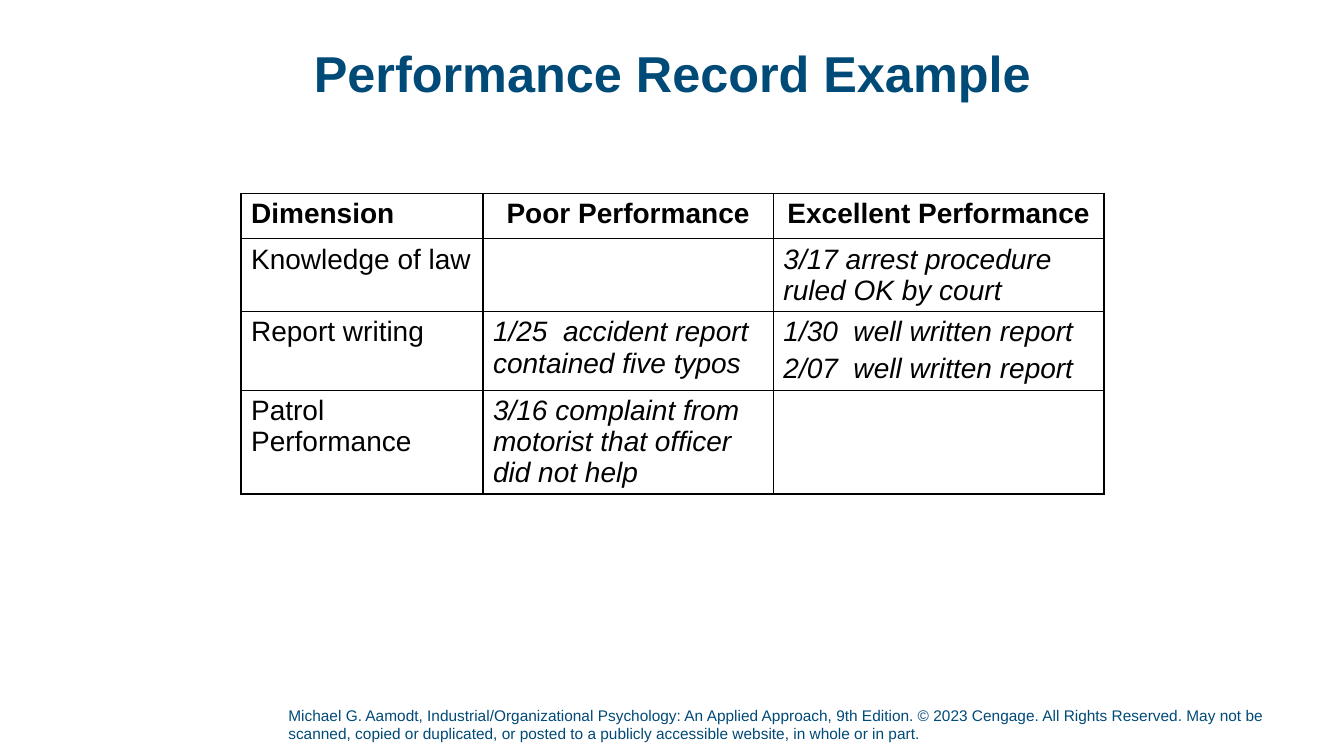
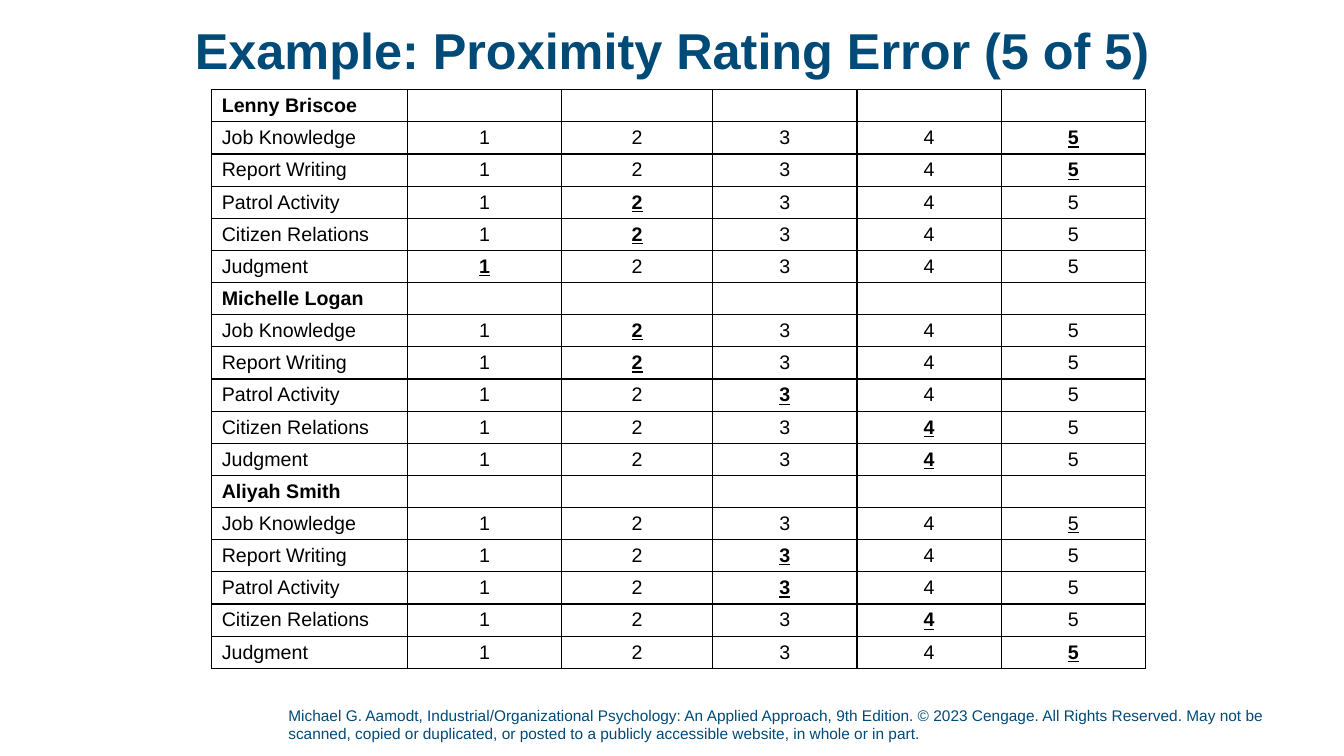
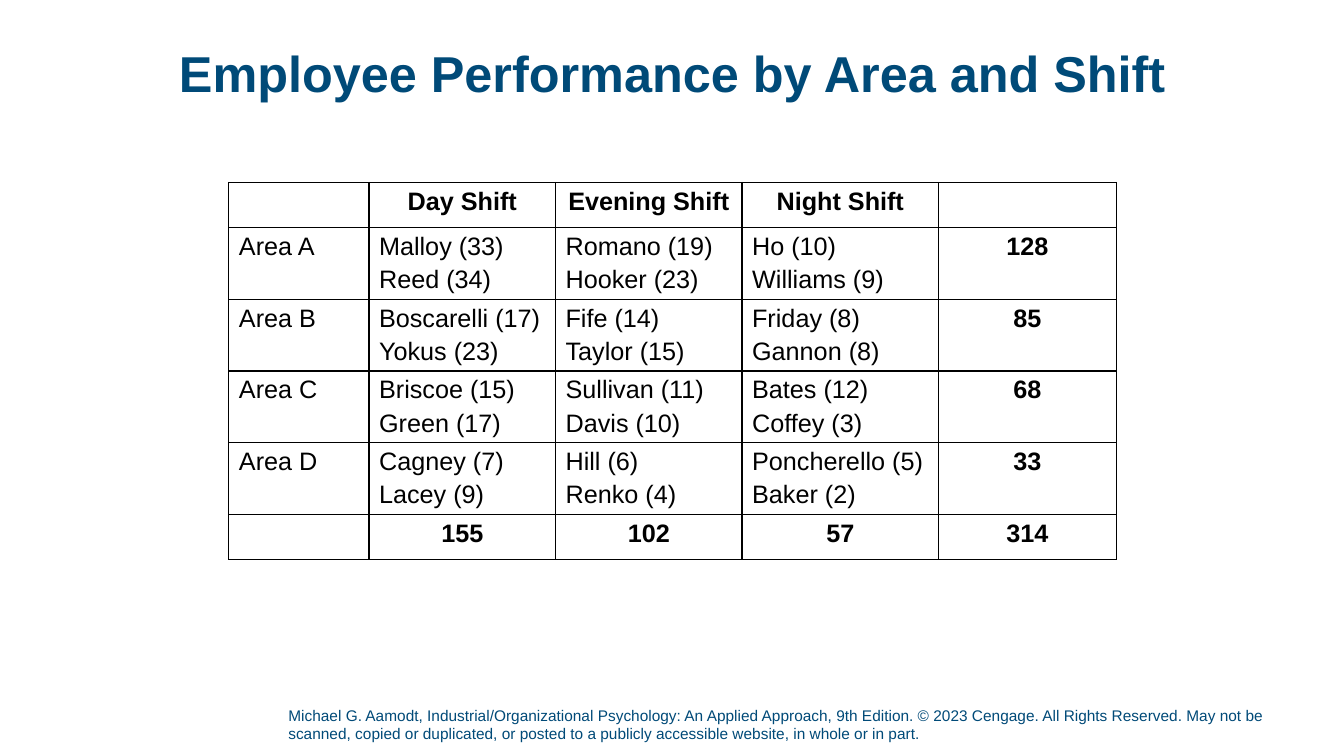
from lxml.etree import SubElement
from pptx import Presentation
from pptx.dml.color import RGBColor
from pptx.enum.text import MSO_ANCHOR as Anchor, MSO_AUTO_SIZE as AutoSize, PP_ALIGN as Align
from pptx.oxml.ns import qn
from pptx.util import Inches, Pt


def color(code):
    """Turn a hex string into a colour."""
    return RGBColor.from_string(code)


class Slides:
    """Holds the shared style and the current page."""

    FONT, BLUE, BLACK = "Arial", "004A78", "000000"
    FOOTER = (
        "Michael G. Aamodt, Industrial/Organizational Psychology: An Applied Approach, "
        "9th Edition. © 2023 Cengage. All Rights Reserved. May not be scanned, copied or "
        "duplicated, or posted to a publicly accessible website, in whole or in part."
    )

    def __init__(self):
        """Start an empty widescreen deck."""
        self.deck = Presentation()
        self.deck.slide_width, self.deck.slide_height = Inches(13.33), Inches(7.5)
        self.page = None

    def style(self, para, size, ink, bold=False, italic=False, underline=False, centered=False):
        """Format one paragraph."""
        para.alignment = Align.CENTER if centered else Align.LEFT
        font = para.font
        font.name, font.size, font.color.rgb = self.FONT, Pt(size), color(ink)
        font.bold, font.italic, font.underline = bold, italic, underline

    def frame(self, box, text, anchor, bottom=0.0):
        """Fill a text frame and return its paragraph."""
        frame = box.text_frame
        frame.text, frame.word_wrap = text, True
        frame.auto_size, frame.vertical_anchor = AutoSize.NONE, anchor
        frame.margin_left = frame.margin_right = frame.margin_top = 0
        frame.margin_bottom = Inches(bottom)
        return frame.paragraphs[0]

    def start(self, title, top=0.17, height=1.18):
        """Add a page with its title and footer."""
        self.page = self.deck.slides.add_slide(self.deck.slide_layouts[5])
        box = self.page.shapes.title
        box.left, box.top = Inches(0.92), Inches(top)
        box.width, box.height = Inches(11.5), Inches(height)
        para = self.frame(box, title, Anchor.MIDDLE)
        para.line_spacing = 0.9
        self.style(para, 36, self.BLUE, bold=True, centered=True)
        self.footer()

    def footer(self):
        """Add the copyright line."""
        box = self.page.shapes.add_textbox(Inches(2.86), Inches(7), Inches(10.34), Inches(0.42))
        self.style(self.frame(box, self.FOOTER, Anchor.BOTTOM, 0.05), 11, self.BLUE)

    def borders(self, cell):
        """Draw a thin line on each side of a cell."""
        for side in ("a:lnL", "a:lnR", "a:lnT", "a:lnB"):
            line = SubElement(cell._tc.get_or_add_tcPr(), qn(side), w=str(Pt(1)))
            SubElement(SubElement(line, qn("a:solidFill")), qn("a:srgbClr"), val=self.BLACK)

    def cell(self, cell, text, size, look):
        """Fill and format one table cell."""
        self.borders(cell)
        cell.fill.background()
        cell.text = text
        for index, para in enumerate(cell.text_frame.paragraphs):
            if index:
                para.space_before = Pt(size * 0.2)
            self.style(para, size, self.BLACK, **look)
            if not text:
                para._p.get_or_add_endParaRPr().set("sz", str(size * 100))

    def table(self, left, top, widths, heights, rows, size, look):
        """Add a ruled table; look(row, column) gives the format of a cell."""
        table = self.page.shapes.add_table(
            len(rows), len(widths), Inches(left), Inches(top),
            Inches(sum(widths)), Inches(sum(heights)),
        ).table
        table.first_row = table.horz_banding = False
        for column, width in zip(table.columns, widths):
            column.width = Inches(width)
        for line, height in zip(table.rows, heights):
            line.height = Inches(height)
        for row, texts in enumerate(rows):
            for column, text in enumerate(texts):
                self.cell(table.cell(row, column), text, size, look(row, column))


def record_page(slides):
    """Show the performance record."""
    rows = [
        ("Dimension", "Poor Performance", "Excellent Performance"),
        ("Knowledge of law", "", "3/17 arrest procedure ruled OK by court"),
        ("Report writing", "1/25  accident report contained five typos",
         "1/30  well written report\n2/07  well written report"),
        ("Patrol Performance", "3/16 complaint from motorist that officer did not help", ""),
    ]

    def look(row, column):
        """Bold header, italic notes."""
        return dict(bold=row == 0, italic=row > 0 and column > 0,
                    centered=row == 0 and column > 0)

    slides.start("Performance Record Example")
    slides.table(2.39, 1.92, [2.4, 2.88, 3.28], [0.45, 0.72, 0.78, 1.02], rows, 20, look)


def rating_page(slides):
    """Show three officers with their chosen ratings."""
    skills = ("Job Knowledge", "Report Writing", "Patrol Activity", "Citizen Relations", "Judgment")
    officers = {
        "Lenny Briscoe": (5, 5, 2, 2, 1),
        "Michelle Logan": (2, 2, 3, 4, 4),
        "Aliyah Smith": (5, 3, 3, 4, 5),
    }
    light_cell = (13, 5)
    rows, chosen = [], []
    for officer, ratings in officers.items():
        rows.append((officer, "", "", "", "", ""))
        chosen.append(0)
        for skill, rating in zip(skills, ratings):
            rows.append((skill, "1", "2", "3", "4", "5"))
            chosen.append(rating)

    def look(row, column):
        """Bold names, bold underlined choices."""
        picked = column == chosen[row]
        return dict(bold=picked and (row, column) != light_cell,
                    underline=picked and column > 0, centered=column > 0)

    slides.start("Example: Proximity Rating Error (5 of 5)", 0.25, 0.55)
    slides.table(2.1, 0.89, [1.94, 1.53, 1.5, 1.43, 1.43, 1.43],
                 [5.74 / len(rows)] * len(rows), rows, 14, look)


def shift_page(slides):
    """Show performance by area and shift."""
    rows = [
        ("", "Day Shift", "Evening Shift", "Night Shift", ""),
        ("Area A", "Malloy (33)\nReed (34)", "Romano (19)\nHooker (23)",
         "Ho (10)\nWilliams (9)", "128"),
        ("Area B", "Boscarelli (17)\nYokus (23)", "Fife (14)\nTaylor (15)",
         "Friday (8)\nGannon (8)", "85"),
        ("Area C", "Briscoe (15)\nGreen (17)", "Sullivan (11)\nDavis (10)",
         "Bates (12)\nCoffey (3)", "68"),
        ("Area D", "Cagney (7)\nLacey (9)", "Hill (6)\nRenko (4)",
         "Poncherello (5)\nBaker (2)", "33"),
        ("", "155", "102", "57", "314"),
    ]

    def look(row, column):
        """Bold centred header and totals."""
        strong = row in (0, len(rows) - 1) or column == 4
        return dict(bold=strong, centered=strong)

    slides.start("Employee Performance by Area and Shift")
    slides.table(2.27, 1.81, [1.39, 1.85, 1.85, 1.95, 1.76],
                 [0.45] + [0.71] * 4 + [0.45], rows, 18, look)


def main():
    """Build and save the deck."""
    slides = Slides()
    for build in (record_page, rating_page, shift_page):
        build(slides)
    slides.deck.save("out.pptx")


if __name__ == "__main__":
    main()
